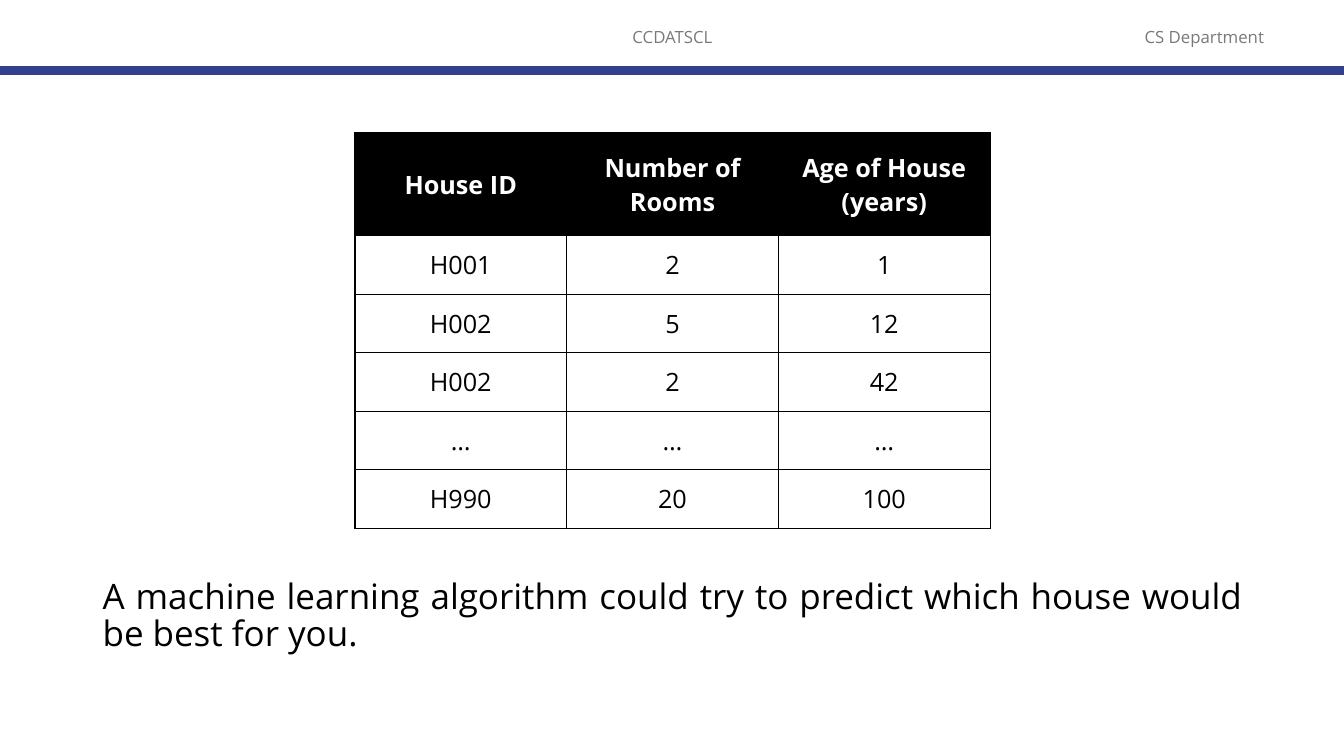
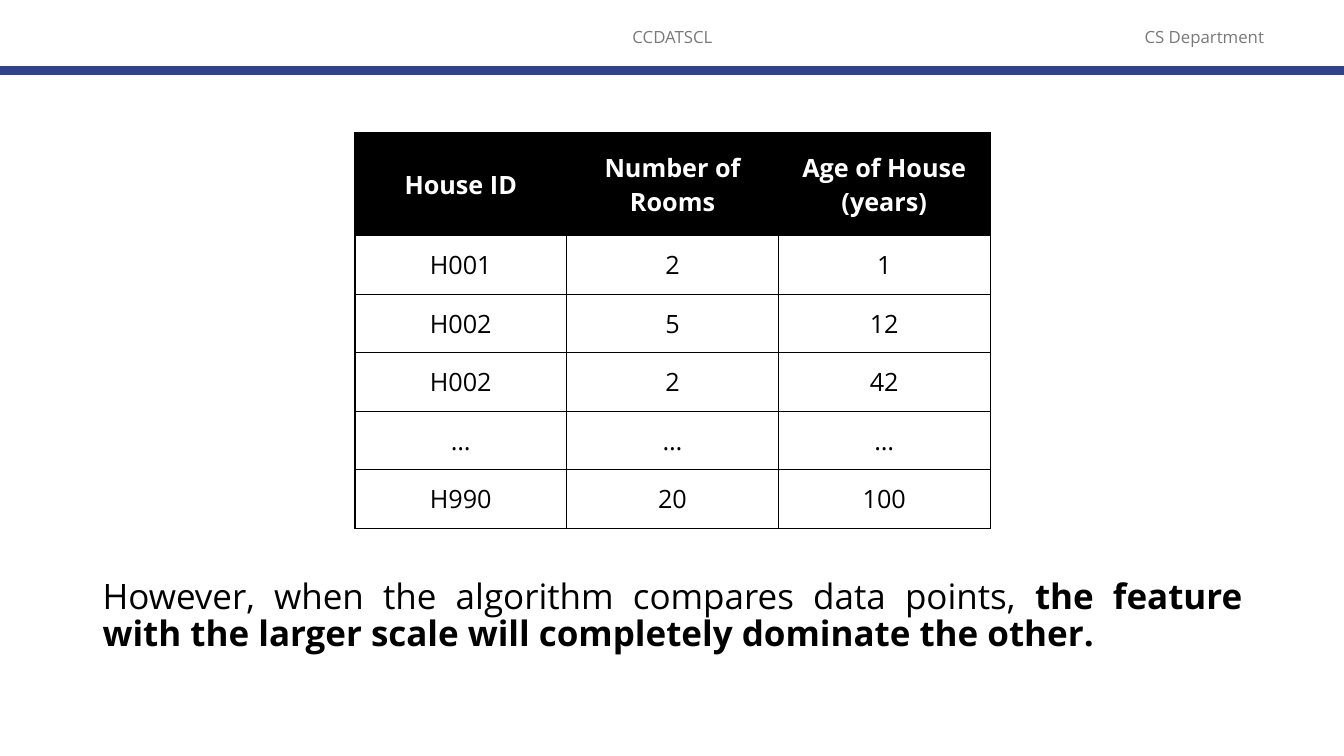
from dataclasses import dataclass

from lxml import etree
from pptx import Presentation
from pptx import util as u
from pptx.dml.color import RGBColor
from pptx.enum import shapes, text
from pptx.oxml import ns


@dataclass(frozen=True)
class Theme:
    font: str = "Open Sans"
    ink: str = "000000"
    paper: str = "FFFFFF"
    muted: str = "797979"
    rule: str = "32418C"
    header_size: int = 12
    table_size: int = 18
    body_size: int = 25
    body_spacing: float = 0.89
    rule_width: int = 6
    border_width: int = 1


THEME = Theme()
SLIDE_SIZE = (13.33, 7.5)
RULE_TOP = 0.7
HEADERS = [
    ("CCDATSCL", (4.42, 0.17, 4.5, 0.4)),
    ("CS Department", (10.92, 0.17, 2.05, 0.4)),
]
TABLE_ORIGIN = (3.52, 1.32)
COLUMN_WIDTH = 2.1
HEAD_HEIGHT = 1.02
ROW_HEIGHT = 0.58
BODY_AREA = (0.92, 5.7, 11.5, 0.94)

HOUSES = [
    ("House ID", "Number of Rooms", "Age of House (years)"),
    ("H001", "2", "1"),
    ("H002", "5", "12"),
    ("H002", "2", "42"),
    ("…", "…", "…"),
    ("H990", "20", "100"),
]
SLIDES = [
    [("A machine learning algorithm could try to predict which house would be best for you.", False)],
    [
        ("However, when the algorithm compares data points, ", False),
        ("the feature with the larger scale will completely dominate the other.", True),
    ],
]


def inches(values):
    return [u.Inches(value) for value in values]


def write(frame, spans, size, color, align):
    para = frame.paragraphs[0]
    para.alignment = align
    for words, bold in spans:
        span = para.add_run()
        span.text = words
        span.font.name = THEME.font
        span.font.size = u.Pt(size)
        span.font.bold = bold
        span.font.color.rgb = RGBColor.from_string(color)
    return para


def add_text(page, area, spans, size, color, align, anchor):
    box = page.shapes.add_textbox(*inches(area))
    frame = box.text_frame
    frame.word_wrap = True
    frame.vertical_anchor = anchor
    return write(frame, spans, size, color, align)


def add_header(page):
    for words, area in HEADERS:
        add_text(page, area, [(words, False)], THEME.header_size, THEME.muted,
                 text.PP_ALIGN.CENTER, text.MSO_ANCHOR.MIDDLE)
    ends = inches((0, RULE_TOP, SLIDE_SIZE[0], RULE_TOP))
    rule = page.shapes.add_connector(shapes.MSO_CONNECTOR.STRAIGHT, *ends)
    rule.line.color.rgb = RGBColor.from_string(THEME.rule)
    rule.line.width = u.Pt(THEME.rule_width)
    etree.SubElement(rule._element.spPr, ns.qn("a:effectLst"))


def add_borders(cell):
    properties = cell._tc.get_or_add_tcPr()
    for position, side in enumerate(("lnL", "lnR", "lnT", "lnB")):
        border = etree.Element(ns.qn(f"a:{side}"), w=str(u.Pt(THEME.border_width)))
        fill = etree.SubElement(border, ns.qn("a:solidFill"))
        etree.SubElement(fill, ns.qn("a:srgbClr"), val=THEME.ink)
        properties.insert(position, border)


def add_table(page, rows):
    heights = [HEAD_HEIGHT] + [ROW_HEIGHT] * (len(rows) - 1)
    columns = len(rows[0])
    area = (*TABLE_ORIGIN, COLUMN_WIDTH * columns, sum(heights))
    table = page.shapes.add_table(len(rows), columns, *inches(area)).table
    table.horz_banding = False
    for column in table.columns:
        column.width = u.Inches(COLUMN_WIDTH)
    for r, values in enumerate(rows):
        table.rows[r].height = u.Inches(heights[r])
        is_head = r == 0
        fill, color = (THEME.ink, THEME.paper) if is_head else (THEME.paper, THEME.ink)
        for c, value in enumerate(values):
            cell = table.cell(r, c)
            cell.fill.solid()
            cell.fill.fore_color.rgb = RGBColor.from_string(fill)
            cell.vertical_anchor = text.MSO_ANCHOR.MIDDLE
            write(cell.text_frame, [(value, is_head)], THEME.table_size, color, text.PP_ALIGN.CENTER)
            add_borders(cell)


def main():
    deck = Presentation()
    deck.slide_width, deck.slide_height = inches(SLIDE_SIZE)
    for spans in SLIDES:
        page = deck.slides.add_slide(deck.slide_layouts[6])
        add_header(page)
        add_table(page, HOUSES)
        para = add_text(page, BODY_AREA, spans, THEME.body_size, THEME.ink,
                        text.PP_ALIGN.JUSTIFY, text.MSO_ANCHOR.TOP)
        para.line_spacing = THEME.body_spacing
    deck.save("out.pptx")


if __name__ == "__main__":
    main()
